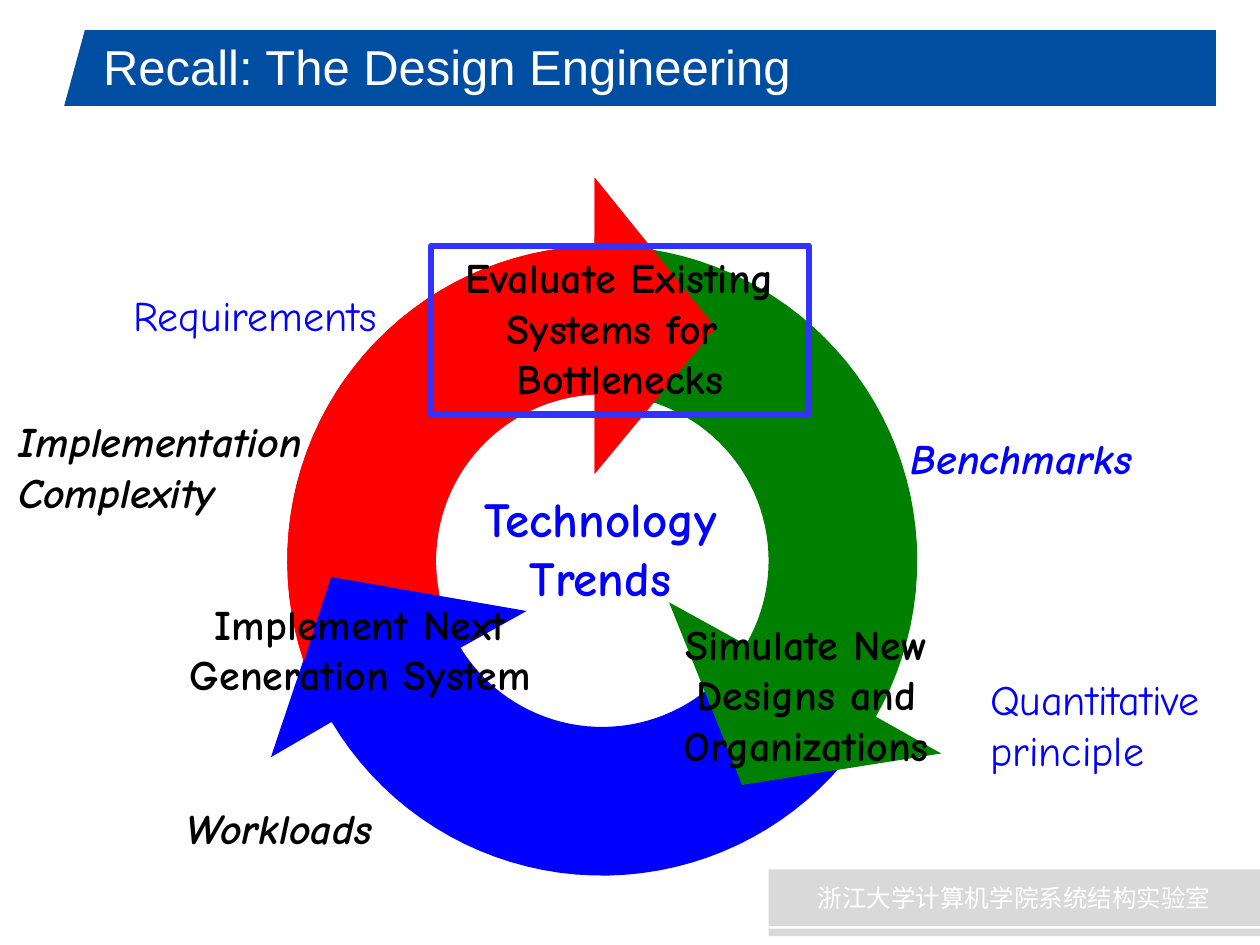
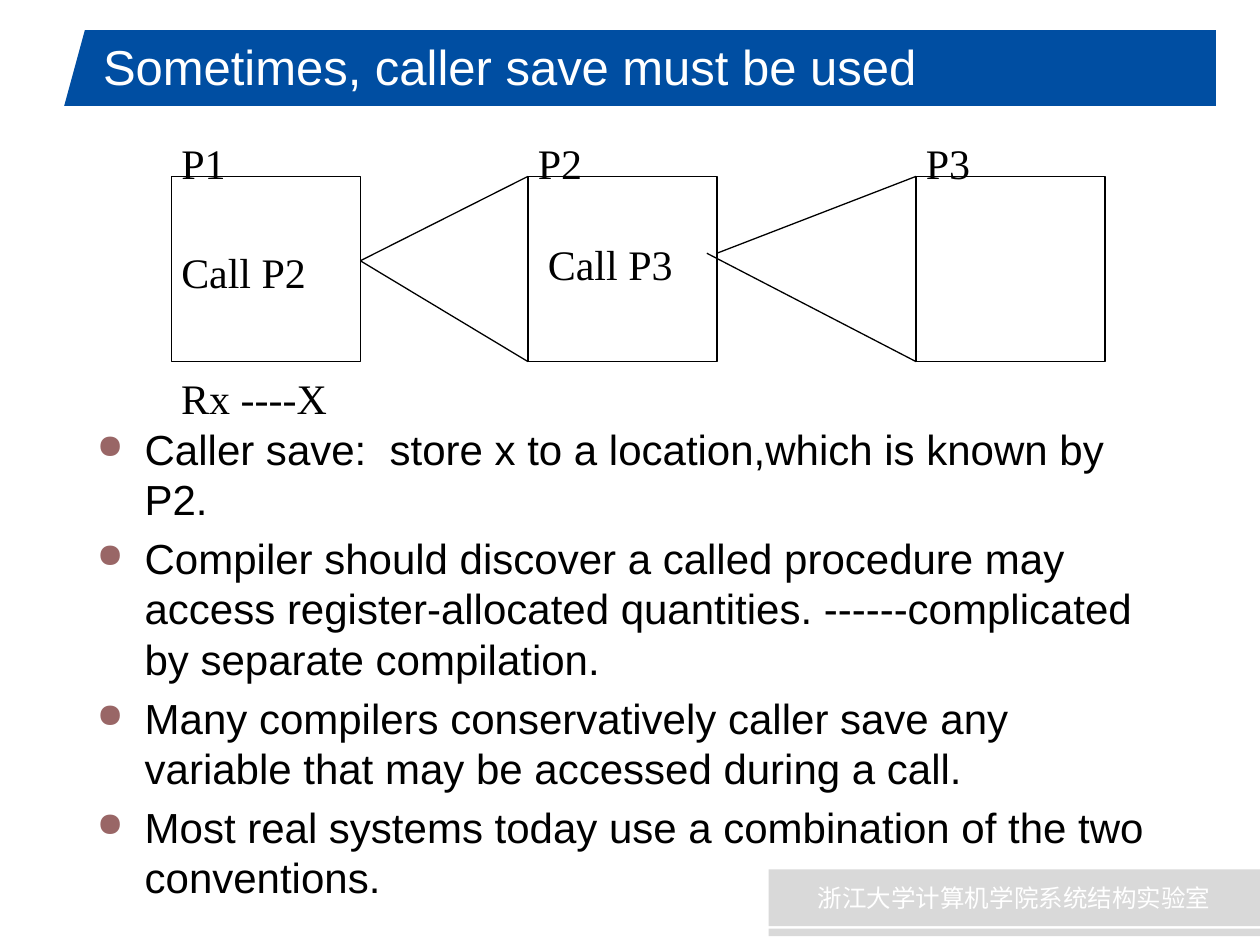
import math

import lxml.etree
import pptx
import pptx.dml.color
import pptx.enum.shapes
import pptx.enum.text
import pptx.oxml.ns
import pptx.util

Inches = pptx.util.Inches
Pt = pptx.util.Pt
ALIGN = pptx.enum.text.PP_ALIGN
ANCHOR = pptx.enum.text.MSO_ANCHOR
SHAPE = pptx.enum.shapes.MSO_SHAPE

COLOURS = {
    "band": "004EA2",
    "footer": "D9D9D9",
    "white": "FFFFFF",
    "black": "000000",
    "red": "FF0000",
    "blue": "0000FF",
    "green": "008000",
    "frame": "3333FF",
    "bullet": "996666",
}
TITLE_FONT = "Arial"
CYCLE_FONT = "Comic Neue"
CALL_FONT = "Times New Roman"
FOOTER_FONT = "Noto Sans CJK SC"
FOOTER_TEXT = "浙江大学计算机学院系统结构实验室"


def colour(name):
    return pptx.dml.color.RGBColor.from_string(COLOURS[name])


def add_element(parent, tag, **attributes):
    element = lxml.etree.SubElement(parent, pptx.oxml.ns.qn(tag))
    for name, value in attributes.items():
        element.set(name, value)
    return element


def paint(shape, fill=None, line=None, line_width=0.75):
    shape.shadow.inherit = False
    if fill:
        shape.fill.solid()
        shape.fill.fore_color.rgb = colour(fill)
    else:
        shape.fill.background()
    if line:
        shape.line.color.rgb = colour(line)
        shape.line.width = Pt(line_width)
    else:
        shape.line.fill.background()
    return shape


def add_preset(slide, kind, box, **style):
    shape = slide.shapes.add_shape(kind, *map(Inches, box))
    return paint(shape, **style)


def style_font(paragraph, font, size, ink, bold=False, italic=False):
    paragraph.font.name = font
    paragraph.font.size = Pt(size)
    paragraph.font.color.rgb = colour(ink)
    paragraph.font.bold = bold
    paragraph.font.italic = italic


def write_lines(shape, lines, font, size, ink, align=ALIGN.LEFT, anchor=ANCHOR.TOP,
                wrap=False, bold=False, italic=False):
    frame = shape.text_frame
    frame.word_wrap = wrap
    frame.vertical_anchor = anchor
    if not wrap:
        frame.auto_size = pptx.enum.text.MSO_AUTO_SIZE.SHAPE_TO_FIT_TEXT
    frame.text = "\n".join(lines)
    for paragraph in frame.paragraphs:
        paragraph.alignment = align
        style_font(paragraph, font, size, ink, bold, italic)


def add_text(slide, box, lines, font, size, ink, **style):
    text_box = slide.shapes.add_textbox(*map(Inches, box))
    write_lines(text_box, lines, font, size, ink, **style)


def add_title_band(slide, box, title):
    left, top, width, height = box
    slope = add_preset(slide, SHAPE.TRAPEZOID, (left, top, 4.06, height), fill="band")
    slope.adjustments[0] = 0.273
    right = left + width
    add_preset(slide, SHAPE.RECTANGLE, (right - 5.83, top, 5.83, height), fill="band")
    add_preset(slide, SHAPE.RECTANGLE, (right - 4.8, top + 0.55, 4.8, 0.05), fill="band")
    add_text(slide, (left + 0.21, top + 0.01, 8.64, 0.55), [title], TITLE_FONT, 28, "white",
             anchor=ANCHOR.MIDDLE, wrap=True)


def add_footer(slide, box):
    left, top, width, height = box
    label = add_preset(slide, SHAPE.RECTANGLE, (left, top, width, 0.45), fill="footer")
    write_lines(label, [FOOTER_TEXT], FOOTER_FONT, 14, "white",
                align=ALIGN.CENTER, anchor=ANCHOR.MIDDLE, wrap=True)
    font_properties = label.text_frame.paragraphs[0].runs[0].font
    font_properties.name = FOOTER_FONT
    run_properties = label.text_frame.paragraphs[0].runs[0]._r.get_or_add_rPr()
    add_element(run_properties, "a:ea", typeface=FOOTER_FONT)
    add_preset(slide, SHAPE.RECTANGLE, (left, top + height - 0.06, width, 0.06), fill="footer")


def add_base_slide(presentation, title):
    slide = presentation.slides.add_slide(presentation.slide_layouts[6])
    add_title_band(slide, (0.51, 0.24, 9.14, 0.6), title)
    add_footer(slide, (6.1, 6.9, 3.9, 0.53))
    return slide


def arc_points(centre, radius, start, end):
    steps = max(2, round(abs(end - start) / 3))
    angles = [math.radians(start + (end - start) * step / steps) for step in range(steps + 1)]
    return [(centre[0] + radius * math.cos(angle), centre[1] + radius * math.sin(angle))
            for angle in angles]


def add_cycle_arrow(slide, centre, outer_span, head, inner_span, fill, notch=()):
    def from_centre(offsets):
        return [(centre[0] + across, centre[1] + down) for across, down in offsets]

    points = (arc_points(centre, 2.5, *outer_span) + from_centre(head)
              + arc_points(centre, 1.32, *inner_span) + from_centre(notch))
    builder = slide.shapes.build_freeform(Inches(points[0][0]), Inches(points[0][1]), scale=1.0)
    builder.add_line_segments([(Inches(x), Inches(y)) for x, y in points[1:]], close=True)
    paint(builder.convert_to_shape(), fill=fill)


def add_design_cycle(slide, box):
    left, top, width, height = box
    centre = (left + width / 2, top + height / 2)
    red_head = [(-0.06, -3.04), (0.9, -1.85), (-0.06, -0.69)]
    blue_head = [(-2.63, 1.56), (-2.15, 0.13), (-0.6, 0.4)]
    green_head = [(2.69, 1.53), (1.11, 1.78), (0.53, 0.33)]
    arrows = [
        ((150, 268.6), red_head, (267.4, 150), "red", ()),
        ((40.4, 149.2), blue_head, (148.4, 50.6), "blue", ()),
        ((-81, 29.7), green_head, (30.3, -72.7), "green", ()),
        ((161.3, 268.6), red_head, (267.4, 169.6), "red", [(-2.15, 0.1)]),
    ]
    for outer_span, head, inner_span, fill, notch in arrows:
        add_cycle_arrow(slide, centre, outer_span, head, inner_span, fill, notch)


def add_cycle_labels(slide):
    evaluate = add_preset(slide, SHAPE.RECTANGLE, (3.42, 1.95, 3, 1.34),
                          line="frame", line_width=3.5)
    step = {"align": ALIGN.CENTER, "bold": True}
    force = {"bold": True, "italic": True}
    write_lines(evaluate, ["Evaluate Existing", "Systems for ", "Bottlenecks"],
                CYCLE_FONT, 24, "black", anchor=ANCHOR.TOP, **step)
    labels = [
        ((5.2, 4.86, 2.4, 1.3), ["Simulate New", "Designs and", "Organizations"],
         24, "black", step),
        ((1.24, 4.7, 3.24, 0.9), ["Implement Next", "Generation System"], 24, "black", step),
        ((3.64, 3.83, 2.25, 1.03), ["Technology", "Trends"], 28, "blue", step),
        ((7.13, 3.38, 2.08, 0.5), ["Benchmarks"], 24, "blue", force),
        ((1.38, 6.32, 1.87, 0.5), ["Workloads"], 24, "black", force),
        ((0.05, 3.25, 2.66, 0.9), ["Implementation", "Complexity"], 24, "black", force),
        ((0.96, 2.25, 2.31, 0.5), ["Requirements"], 24, "blue", {}),
        ((7.76, 5.3, 2.28, 0.9), ["Quantitative", "principle"], 24, "blue", {}),
    ]
    for box, lines, size, ink, style in labels:
        add_text(slide, box, lines, CYCLE_FONT, size, ink, **style)


def add_line(slide, start, end):
    connector = slide.shapes.add_connector(
        pptx.enum.shapes.MSO_CONNECTOR.STRAIGHT, *map(Inches, start + end))
    connector.line.color.rgb = colour("black")
    connector.line.width = Pt(0.75)
    add_element(connector._element.spPr, "a:effectLst")


def add_call_diagram(slide, box):
    left, top, width, height = box
    square_top = top + 0.36
    square_bottom = square_top + 1.47
    lefts = [left + 0.02, left + 2.85, left + 5.93]
    for number, square_left in enumerate(lefts, 1):
        add_preset(slide, SHAPE.RECTANGLE, (square_left, square_top, 1.5, 1.47), line="black")
        add_text(slide, (square_left - 0.02, top, 0.55, 0.5), [f"P{number}"],
                 CALL_FONT, 24, "black")
    notes = [
        ((left, top + 0.87, 1.19, 0.5), "Call P2"),
        ((left + 2.91, top + 0.8, 1.19, 0.5), "Call P3"),
        ((left, top + height - 0.5, 1.36, 0.5), "Rx ----X"),
    ]
    for note_box, note in notes:
        add_text(slide, note_box, [note], CALL_FONT, 24, "black")
    call_lines = [
        (lefts[0] + 1.5, 1.03, lefts[1], square_top),
        (lefts[0] + 1.5, 1.03, lefts[1], square_bottom),
        (lefts[1] + 1.5, 0.97, lefts[2], square_top),
        (lefts[1] + 1.42, 0.97, lefts[2], square_bottom),
    ]
    for start_x, drop, end_x, end_y in call_lines:
        add_line(slide, (start_x, top + drop), (end_x, end_y))


def add_bullets(slide, box, items):
    frame = slide.shapes.add_textbox(*map(Inches, box)).text_frame
    frame.word_wrap = True
    frame.text = "\n".join(items)
    for index, paragraph in enumerate(frame.paragraphs):
        paragraph.space_before = Pt(4.8 if index else 0)
        properties = paragraph._p.get_or_add_pPr()
        properties.set("marL", str(Inches(0.38)))
        properties.set("indent", str(-Inches(0.38)))
        bullet_colour = add_element(properties, "a:buClr")
        add_element(bullet_colour, "a:srgbClr", val=COLOURS["bullet"])
        add_element(properties, "a:buSzPct", val="80000")
        add_element(properties, "a:buChar", char="●")
        style_font(paragraph, TITLE_FONT, 24, "black")


def build_design_slide(presentation):
    slide = add_base_slide(presentation, "Recall: The Design Engineering")
    add_design_cycle(slide, (2.28, 1.95, 5, 5))
    add_cycle_labels(slide)


def build_caller_slide(presentation):
    slide = add_base_slide(presentation, "Sometimes, caller save must be used")
    add_bullets(slide, (0.67, 3.31, 8.67, 2.99), [
        "Caller save:  store x to a location,which is known by P2.",
        "Compiler should discover a called procedure may access register-allocated quantities. "
        "------complicated by separate compilation.",
        "Many compilers conservatively caller save any variable that may be accessed "
        "during a call.",
        "Most real systems today use a combination of the two conventions.",
    ])
    add_call_diagram(slide, (1.34, 1.04, 7.43, 2.37))


def main():
    presentation = pptx.Presentation()
    presentation.slide_width = Inches(10)
    presentation.slide_height = Inches(7.5)
    build_design_slide(presentation)
    build_caller_slide(presentation)
    presentation.save("out.pptx")


if __name__ == "__main__":
    main()
